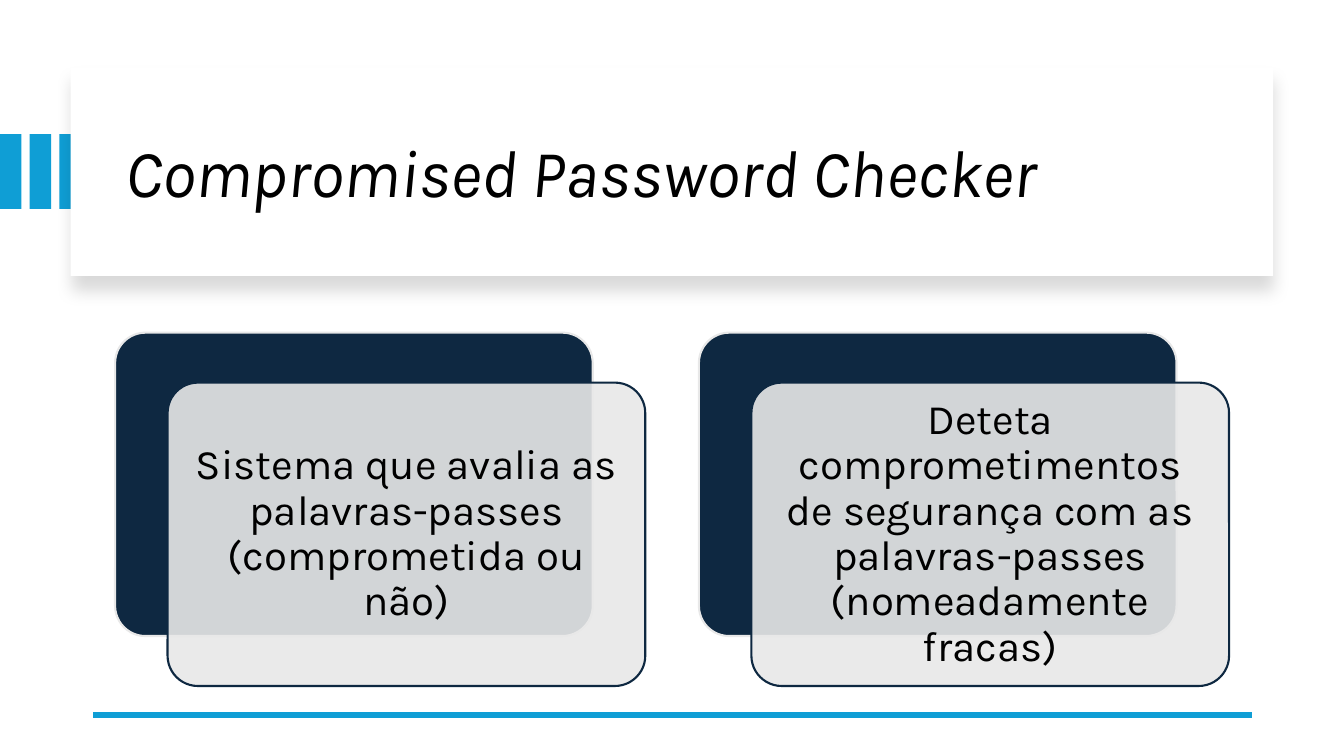
from dataclasses import dataclass

from lxml import etree
from pptx import Presentation
from pptx.dml.color import RGBColor
from pptx.enum import shapes, text
from pptx.oxml import ns
from pptx.util import Pt

HUES = {"blue": "0F9ED5", "navy": "0E2841", "grey": "E8E8E8",
        "white": "FFFFFF", "black": "000000"}
FONT = "Karla"


@dataclass
class Box:
    left: float
    top: float
    width: float
    height: float

    def pts(self) -> list:
        return [Pt(v) for v in (self.left, self.top, self.width, self.height)]

    def move(self, right: float, down: float = 0) -> "Box":
        return Box(self.left + right, self.top + down, self.width, self.height)

    def inset(self, gap: float) -> "Box":
        return Box(self.left + gap, self.top + gap,
                   self.width - 2 * gap, self.height - 2 * gap)


STRIPE = Box(0, 95.9, 15.3, 53.3)
PANEL = Box(50.4, 48.1, 859, 149)
TITLE = Box(82.2, 64, 801.6, 122.4)
CARD = Box(82.2, 237.6, 341.2, 216.7)
CARDS = [
    "Sistema que avalia as palavras-passes (comprometida ou não)",
    "Deteta comprometimentos de segurança com as palavras-passes "
    "(nomeadamente fracas)",
]


def rgb(name: str) -> RGBColor:
    return RGBColor.from_string(HUES[name])


def sub(node, tag: str, **attrs):
    return etree.SubElement(node, ns.qn(tag), attrs)


def draw(slide, box: Box, fill: str, line: str = "", round: bool = False,
         alpha: int = 100):
    kind = shapes.MSO_SHAPE
    shape = slide.shapes.add_shape(
        kind.ROUNDED_RECTANGLE if round else kind.RECTANGLE, *box.pts())
    shape.shadow.inherit = False
    if round:
        shape.adjustments[0] = 0.1
    shape.fill.solid()
    shape.fill.fore_color.rgb = rgb(fill)
    if alpha < 100:
        tint = shape._element.spPr.find(".//" + ns.qn("a:srgbClr"))
        sub(tint, "a:alpha", val=str(alpha * 1000))
    if line:
        shape.line.color.rgb = rgb(line)
        shape.line.width = Pt(1.5)
    else:
        shape.line.fill.background()
    return shape


def write(shape, words: str, *, size: float, align, italic: bool = False,
          pad: float | None = None) -> None:
    frame = shape.text_frame
    frame.word_wrap = True
    frame.auto_size = text.MSO_AUTO_SIZE.NONE
    frame.vertical_anchor = text.MSO_ANCHOR.MIDDLE
    if pad is not None:
        frame.margin_left = frame.margin_right = Pt(pad)
        frame.margin_top = frame.margin_bottom = Pt(pad)
    para = frame.paragraphs[0]
    para.alignment = align
    para.line_spacing = 0.9
    run = para.add_run()
    run.text = words
    font = run.font
    font.name, font.size, font.italic = FONT, Pt(size), italic
    font.color.rgb = rgb("black")


def cast(shape) -> None:
    """Give the shape a soft shadow straight below it."""
    glow = shape._element.spPr.find(ns.qn("a:effectLst"))
    shade = sub(glow, "a:outerShdw", blurRad=str(Pt(11)), dist=str(Pt(10)),
                dir="5400000", algn="t", rotWithShape="0")
    tint = sub(shade, "a:srgbClr", val=HUES["black"])
    sub(tint, "a:alpha", val="15000")


def head(slide) -> None:
    for i in range(3):
        draw(slide, STRIPE.move(21.2 * i), "blue")
    cast(draw(slide, PANEL, "white"))
    title = slide.shapes.title
    title.left, title.top, title.width, title.height = TITLE.pts()
    write(title, "Compromised Password Checker", size=48,
          align=text.PP_ALIGN.LEFT, italic=True)
    slide.shapes._spTree.append(title._element)


def rule(slide) -> None:
    line = slide.shapes.add_connector(
        shapes.MSO_CONNECTOR.STRAIGHT,
        Pt(894.2), Pt(510.5), Pt(66.2), Pt(510.5))
    line.line.color.rgb = rgb("blue")
    line.line.width = Pt(4.5)
    sub(line._element.spPr, "a:effectLst")


def card(slide, box: Box, words: str) -> None:
    front = box.move(37.5, 35.7)
    draw(slide, box, "navy", line="grey", round=True)
    draw(slide, front, "grey", line="navy", round=True, alpha=90)
    label = slide.shapes.add_textbox(*front.inset(6.4).pts())
    write(label, words, size=30, align=text.PP_ALIGN.CENTER, pad=8.6)


def main() -> None:
    deck = Presentation()
    deck.slide_width, deck.slide_height = Pt(960), Pt(540)
    slide = deck.slides.add_slide(deck.slide_layouts[5])
    slide.background.fill.solid()
    slide.background.fill.fore_color.rgb = rgb("white")
    head(slide)
    rule(slide)
    for i, words in enumerate(CARDS):
        card(slide, CARD.move(417 * i), words)
    deck.save("out.pptx")


if __name__ == "__main__":
    main()
